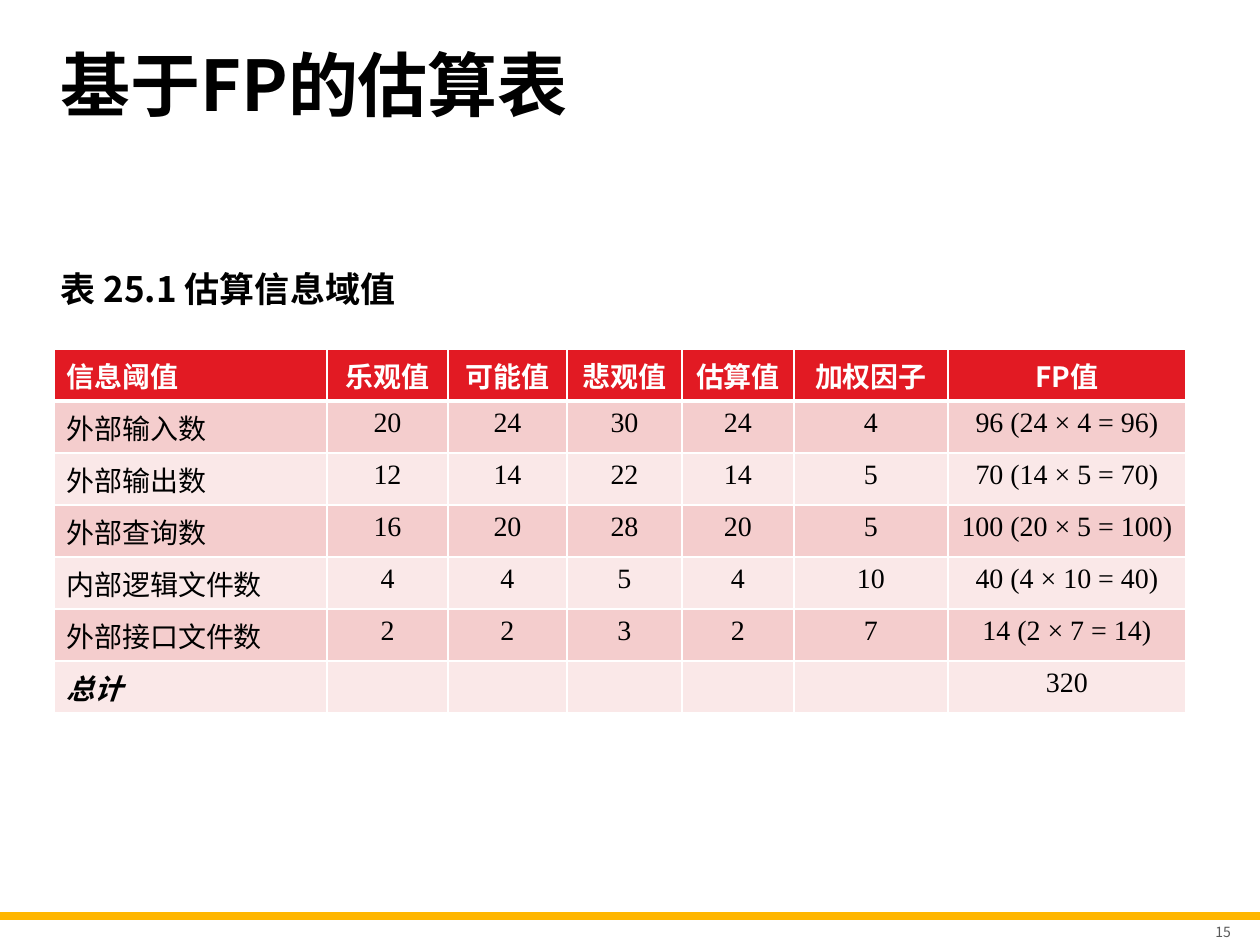
from lxml import etree
from pptx import Presentation
from pptx.dml.color import RGBColor
from pptx.enum.shapes import MSO_SHAPE
from pptx.enum.text import MSO_ANCHOR, MSO_AUTO_SIZE, PP_ALIGN
from pptx.oxml.ns import qn
from pptx.util import Pt

PX = 914400 / 126
LEFT, MID, RIGHT = PP_ALIGN.LEFT, PP_ALIGN.CENTER, PP_ALIGN.RIGHT
CENTER = MSO_ANCHOR.MIDDLE
NONE = MSO_AUTO_SIZE.NONE
RECT = MSO_SHAPE.RECTANGLE

BLACK = RGBColor(0x00, 0x00, 0x00)
WHITE = RGBColor(0xFF, 0xFF, 0xFF)
GRAY = RGBColor(0x59, 0x59, 0x59)
GOLD = RGBColor(0xFF, 0xB6, 0x00)
RED = RGBColor(0xE2, 0x1A, 0x23)
PINK = RGBColor(0xF4, 0xCD, 0xCD)
PALE = RGBColor(0xFA, 0xE8, 0xE8)
SANS = "Noto Sans CJK SC"
SERIF = "Times New Roman"


def px(*nums):
    return [round(n * PX) for n in nums]


def write(frame, text, size, color, bold=False, align=LEFT, face=SANS):
    para = frame.paragraphs[0]
    if text:
        para.text = text
    para.alignment = align
    font = para.font
    font.size, font.bold, font.name = Pt(size), bold, face
    font.color.rgb = color
    # East Asian text takes its own typeface
    east = etree.SubElement(para._p.pPr.find(qn("a:defRPr")), qn("a:ea"))
    east.set("typeface", SANS)
    return para


deck = Presentation()
deck.slide_width, deck.slide_height = px(1260, 945)
slide = deck.slides.add_slide(deck.slide_layouts[5])
shapes = slide.shapes

# Footer bar
bar = shapes.add_shape(RECT, *px(0, 912, 1260, 8))
bar.shadow.inherit = False
bar.fill.solid()
bar.fill.fore_color.rgb = GOLD
bar.line.fill.background()

# Title
title = shapes.title
title.left, title.top, title.width, title.height = px(48, 42, 1165, 93)
frame = title.text_frame
frame.auto_size = NONE
frame.vertical_anchor = CENTER
write(frame, "基于FP的估算表", 40, BLACK, True).line_spacing = 0.9

# Table caption
box = shapes.add_textbox(*px(48, 261, 1165, 59))
box.text_frame.word_wrap = True
para = write(box.text_frame, "表 25.1 估算信息域值", 20, BLACK, True)
para.space_after = Pt(8)

# Estimate table
HEAD = ["信息阈值", "乐观值", "可能值", "悲观值", "估算值", "加权因子", "FP值"]
DATA = [
    ["外部输入数", 20, 24, 30, 24, 4],
    ["外部输出数", 12, 14, 22, 14, 5],
    ["外部查询数", 16, 20, 28, 20, 5],
    ["内部逻辑文件数", 4, 4, 5, 4, 10],
    ["外部接口文件数", 2, 2, 3, 2, 7],
]
rows, total = [HEAD], 0
for item in DATA:
    count, weight = item[-2:]
    points = count * weight
    total += points
    rows.append(item + [f"{points} ({count} × {weight} = {points})"])
rows.append(["总计"] + [""] * 5 + [total])

WIDTHS = [273, 121, 119, 115, 112, 154, 238]
ROW = 52
table = shapes.add_table(len(rows), len(HEAD),
                         *px(54, 349, sum(WIDTHS), ROW * len(rows))).table
table.first_row = table.horz_banding = False
for col, width in zip(table.columns, px(*WIDTHS)):
    col.width = width

for r, row in enumerate(rows):
    table.rows[r].height = px(ROW)[0]
    for c, value in enumerate(row):
        cell = table.cell(r, c)
        head, label = r == 0, c == 0
        last = r == len(rows) - 1
        para = write(cell.text_frame, str(value), 16,
                     WHITE if head else BLACK,
                     head or (last and label),
                     LEFT if label else MID,
                     SANS if head or label else SERIF)
        if last and label:
            para.font.italic = True

        # White rules, heavier under the header
        props = cell._tc.get_or_add_tcPr()
        for side in "LRTB":
            thick = (r, side) in [(0, "B"), (1, "T")]
            line = etree.SubElement(props, qn(f"a:ln{side}"))
            line.set("w", str(Pt(3 if thick else 1)))
            fill = etree.SubElement(line, qn("a:solidFill"))
            etree.SubElement(fill, qn("a:srgbClr")).set("val", str(WHITE))
        cell.fill.solid()
        cell.fill.fore_color.rgb = RED if head else PINK if r % 2 else PALE

# Page number
box = shapes.add_textbox(*px(1188, 920, 49, 23))
frame = box.text_frame
frame.word_wrap = True
frame.vertical_anchor = CENTER
frame.margin_left = frame.margin_right = px(6)[0]
frame.margin_top = frame.margin_bottom = px(6)[0]
write(frame, "15", 8, GRAY, align=RIGHT)

deck.save("out.pptx")
